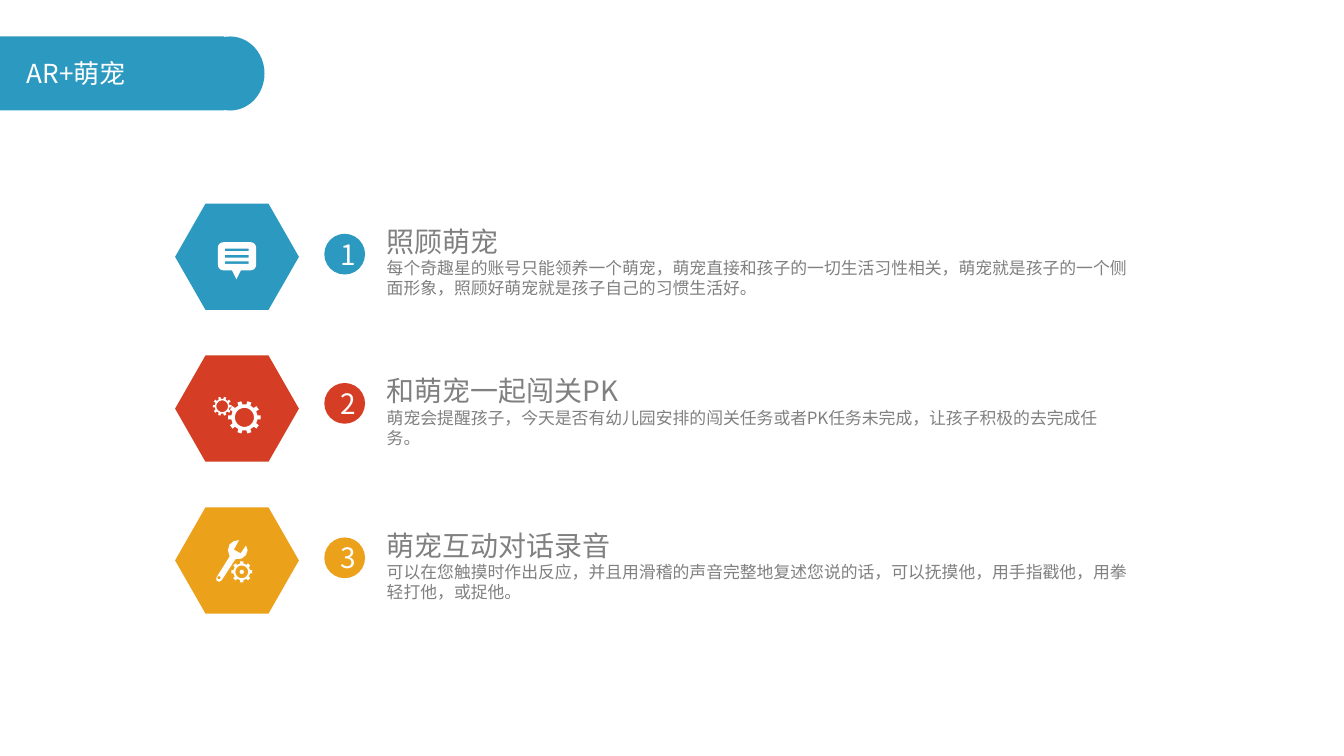
from math import cos, pi, sin

from lxml.etree import SubElement
from pptx import Presentation
from pptx.dml.color import RGBColor
from pptx.enum.shapes import MSO_SHAPE as Shape
from pptx.enum.text import MSO_ANCHOR as Anchor, MSO_AUTO_SIZE as AutoSize, PP_ALIGN as Align
from pptx.oxml.ns import qn
from pptx.util import Cm, Pt

FONT = "Noto Sans CJK SC"
BLUE, RED, AMBER = "2C99C0", "D53E25", "ECA11A"
WHITE, ICON_WHITE, GREY = "FFFFFF", "FEFEFE", "808080"


def paint(fill, colour):
    fill.solid()
    fill.fore_color.rgb = RGBColor.from_string(colour)


def add_run(paragraph, text, size, colour):
    run = paragraph.add_run()
    run.text = text
    run.font.size = Pt(size)
    run.font.name = FONT
    paint(run.font.fill, colour)
    SubElement(run.font._element, qn("a:ea"), typeface=FONT)


presentation = Presentation()
presentation.slide_width = Cm(25.4)
presentation.slide_height = Cm(14.29)
slide = presentation.slides.add_slide(presentation.slide_layouts[5])
shapes = slide.shapes

features = [
    (BLUE, 4.42, "照顾萌宠",
     "每个奇趣星的账号只能领养一个萌宠，萌宠直接和孩子的一切生活习性相关，萌宠就是孩子的一个侧面形象，照顾好萌宠就是孩子自己的习惯生活好。"),
    (RED, 7.24, "和萌宠一起闯关PK",
     "萌宠会提醒孩子，今天是否有幼儿园安排的闯关任务或者PK任务未完成，让孩子积极的去完成任务。"),
    (AMBER, 10.16, "萌宠互动对话录音",
     "可以在您触摸时作出反应，并且用滑稽的声音完整地复述您说的话，可以抚摸他，用手指戳他，用拳轻打他，或捉他。"),
]

plain_shapes = [
    (Shape.RECTANGLE, 0, 0.69, 4.24, 1.4, BLUE),
    (Shape.OVAL, 3.7, 0.69, 1.3, 1.4, BLUE),
]
for index, (colour, top, heading, description) in enumerate(features):
    plain_shapes.append((Shape.HEXAGON, 3.31, 3.85 + 2.87 * index, 2.34, 2.01, colour))
plain_shapes.append((Shape.OVAL, 4.53, 10.77, 0.08, 0.08, ICON_WHITE))

for kind, left, top, width, height, colour in plain_shapes:
    shape = shapes.add_shape(kind, Cm(left), Cm(top), Cm(width), Cm(height))
    shape.shadow.inherit = False
    paint(shape.fill, colour)
    shape.line.fill.background()
    if kind == Shape.HEXAGON:
        shape.adjustments[0] = 0.286

bubble = []
for corner, (x, y) in enumerate([(4.74, 5.01), (4.22, 5.01), (4.22, 4.68), (4.74, 4.68)]):
    for step in range(7):
        angle = (corner + step / 6) * pi / 2
        bubble.append((x + 0.1 * cos(angle), y + 0.1 * sin(angle)))
bubble_lines = []
for row in range(3):
    y = 4.7 + 0.12 * row
    bubble_lines.append([(4.25, y), (4.7, y), (4.7, y + 0.05), (4.25, y + 0.05)])
bubble_tail = [(4.37, 5.08), (4.57, 5.08), (4.47, 5.28)]
wrench = [
    (4.09, 10.92), (4.34, 10.52), (4.31, 10.4), (4.34, 10.29), (4.42, 10.23), (4.52, 10.21),
    (4.42, 10.39), (4.55, 10.46), (4.65, 10.31), (4.68, 10.4), (4.65, 10.49), (4.57, 10.56),
    (4.45, 10.57), (4.19, 10.97), (4.14, 11), (4.09, 10.97),
]
wrench_hole = [(4.14 + 0.03 * cos(k * pi / 8), 10.92 + 0.03 * sin(k * pi / 8)) for k in range(16)]
icons = [[bubble, *bubble_lines], [bubble_tail], [wrench, wrench_hole]]

for x, y, teeth, outer, root, hole in [
    (4.62, 7.89, 10, 0.31, 0.25, 0.18),
    (4.2, 7.68, 10, 0.18, 0.14, 0.11),
    (4.57, 10.81, 8, 0.2, 0.16, 0.12),
]:
    rim = []
    for tooth in range(teeth):
        for offset, radius in [(-0.25, root), (-0.2, outer), (0.2, outer), (0.25, root)]:
            angle = (tooth + offset) * 2 * pi / teeth
            rim.append((x + radius * cos(angle), y + radius * sin(angle)))
    bore = [(x + hole * cos(k * pi / 16), y + hole * sin(k * pi / 16)) for k in range(32)]
    icons.append([rim, bore])

for contours in icons:
    builder = None
    for contour in contours:
        points = [(Cm(x), Cm(y)) for x, y in contour]
        if builder is None:
            builder = shapes.build_freeform(*points[0])
        else:
            builder.move_to(*points[0])
        builder.add_line_segments(points[1:], close=True)
    icon = builder.convert_to_shape()
    icon.shadow.inherit = False
    paint(icon.fill, ICON_WHITE)
    icon.line.fill.background()

for number, (colour, top, heading, description) in enumerate(features, start=1):
    badge = shapes.add_shape(Shape.OVAL, Cm(6.13), Cm(top), Cm(0.77), Cm(0.77))
    badge.shadow.inherit = False
    paint(badge.fill, colour)
    badge.line.fill.background()
    badge.text_frame.vertical_anchor = Anchor.MIDDLE
    badge.text_frame.paragraphs[0].alignment = Align.CENTER
    add_run(badge.text_frame.paragraphs[0], str(number), 15, WHITE)

    box = shapes.add_textbox(Cm(7.11), Cm(top - 0.27), Cm(14.4), Cm(1.6))
    box.text_frame.word_wrap = True
    for frame in (badge.text_frame, box.text_frame):
        frame.margin_left = frame.margin_right = Cm(0.2)
        frame.margin_top = frame.margin_bottom = Cm(0.1)
    add_run(box.text_frame.paragraphs[0], heading, 15, GREY)
    add_run(box.text_frame.add_paragraph(), description, 9, GREY)
    for paragraph, spacing in zip(box.text_frame.paragraphs, (18, 10.7)):
        paragraph.line_spacing = Pt(spacing)
        paragraph._p.get_or_add_pPr().set("hangingPunct", "0")

title = shapes.title
title.left, title.top, title.width, title.height = Cm(0.25), Cm(0.97), Cm(2.54), Cm(0.86)
title.text_frame.word_wrap = False
title.text_frame.auto_size = AutoSize.SHAPE_TO_FIT_TEXT
title.text_frame.vertical_anchor = Anchor.TOP
title_paragraph = title.text_frame.paragraphs[0]
title_paragraph.alignment = Align.LEFT
title_paragraph.line_spacing = Pt(16.7)
add_run(title_paragraph, "AR+萌宠", 14, WHITE)
shapes._spTree.append(title._element)

presentation.save("out.pptx")
